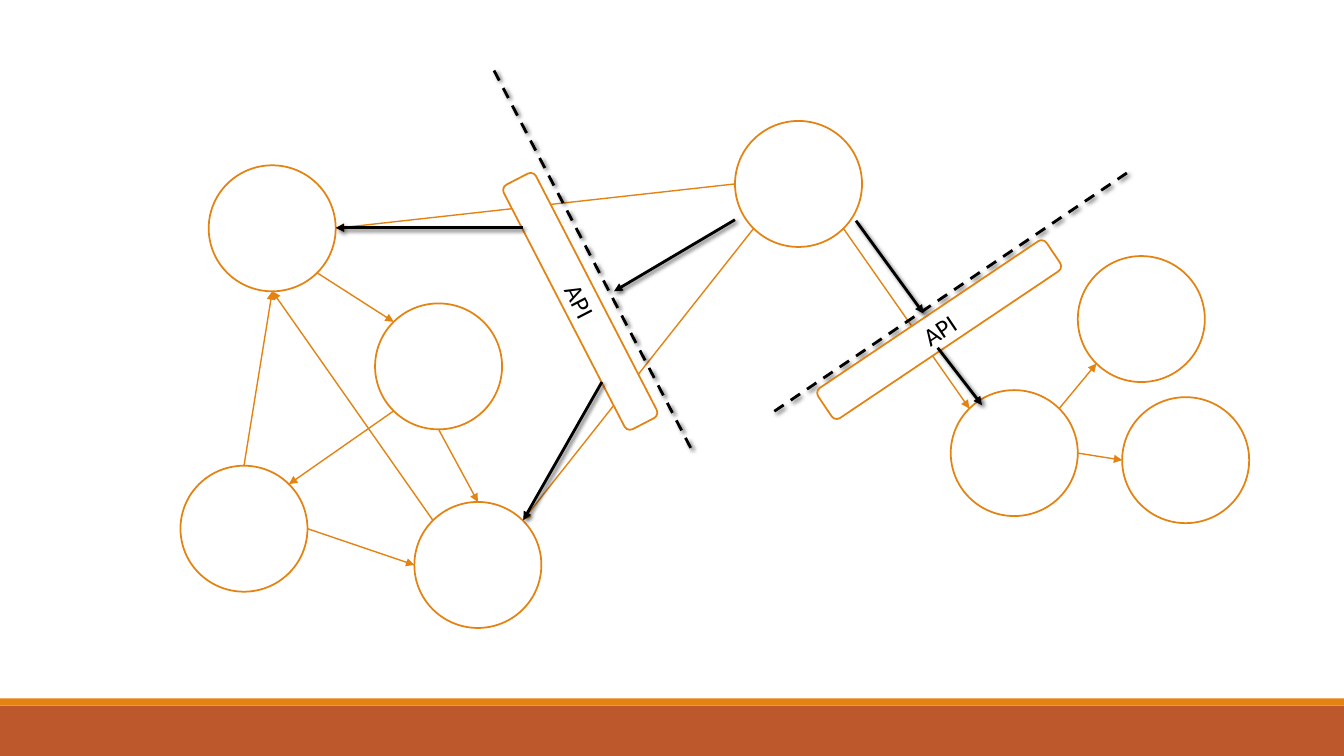
from math import cos, radians, sin

from lxml.etree import SubElement
from pptx import Presentation
from pptx.dml.color import RGBColor
from pptx.enum.dml import MSO_LINE
from pptx.enum.shapes import MSO_CONNECTOR, MSO_SHAPE
from pptx.enum.text import MSO_ANCHOR, PP_ALIGN
from pptx.oxml.ns import qn
from pptx.util import Pt

PIXEL = 9144  # 100 px to the inch
PAGE_WIDTH, PAGE_HEIGHT = 1333, 750
ORANGE, RUST, BLACK, WHITE = "E48312", "BD582C", "000000", "FFFFFF"
NODE_WIDTH, NODE_HEIGHT = 126, 125
API_SIZE = (273, 36)
ANGLES = {"E": 0, "SE": 45, "S": 90, "SW": 135, "W": 180, "NW": 225, "N": 270, "NE": 315}

NODES = {
    "upper left": (207, 164),
    "inner left": (372, 301),
    "lower left": (179, 462),
    "lower middle": (411, 498),
    "caller": (729, 120),
    "service": (943, 387),
    "upper right": (1069, 254),
    "far right": (1113, 394),
}
LINKS = [
    ("upper left", "SE", "inner left", "NW"),
    ("inner left", "SW", "lower left", "NE"),
    ("lower left", "N", "upper left", "S"),
    ("inner left", "S", "lower middle", "N"),
    ("lower middle", "NW", "upper left", "S"),
    ("lower left", "E", "lower middle", "W"),
    ("caller", "W", "upper left", "E"),
    ("caller", "SW", "lower middle", "NE"),
    ("caller", "SE", "service", "NW"),
    ("service", "NE", "upper right", "SW"),
    ("service", "E", "far right", "W"),
]
# boundary start, boundary end, API box corner, API box rotation
BOUNDARIES = [
    ((490, 70), (688, 450), (439, 281), 62.7),
    ((768, 408), (1123, 168), (795, 309), 326.1),
]
CALLS = [
    ((729, 218), (609, 289)),
    ((849, 219), (916, 311)),
    ((519, 226), (333, 226)),
    ((597, 379), (519, 516)),
    ((930, 345), (974, 402)),
]


def px(*lengths):
    return [round(length * PIXEL) for length in lengths]


def color(value):
    return RGBColor.from_string(value)


def apply_format(target, values):
    for name, value in values.items():
        setattr(target, name, value)


def add_shape(page, kind, corner, size, fill, outline=None):
    shape = page.shapes.add_shape(kind, *px(*corner, *size))
    shape.shadow.inherit = False
    shape.fill.solid()
    shape.fill.fore_color.rgb = color(fill)
    if outline:
        shape.line.color.rgb = color(outline)
        shape.line.width = Pt(1.25)
    else:
        shape.line.fill.background()
    return shape


def add_api_box(page, corner, rotation):
    box = add_shape(page, MSO_SHAPE.ROUNDED_RECTANGLE, corner, API_SIZE, WHITE, ORANGE)
    box.rotation = rotation
    box.text_frame.vertical_anchor = MSO_ANCHOR.MIDDLE
    para = box.text_frame.paragraphs[0]
    para.alignment = PP_ALIGN.CENTER
    span = para.add_run()
    apply_format(span, {"text": "API"})
    apply_format(span.font, {"size": Pt(18), "name": "Calibri"})
    span.font.color.rgb = color(BLACK)


def add_line(page, start, end, stroke, width, arrow=True, dash=None, shadow=False):
    line = page.shapes.add_connector(MSO_CONNECTOR.STRAIGHT, *px(*start, *end))
    line.line.color.rgb = color(stroke)
    apply_format(line.line, {"width": Pt(width), "dash_style": dash})
    properties = line._element.spPr
    if arrow:
        SubElement(properties.find(qn("a:ln")), qn("a:tailEnd"), type="triangle")
    effects = SubElement(properties, qn("a:effectLst"))
    if shadow:
        outer = SubElement(effects, qn("a:outerShdw"), blurRad=str(Pt(3)),
                           dist=str(Pt(2)), dir=str(45 * 60000))
        shade = SubElement(outer, qn("a:srgbClr"), val=BLACK)
        SubElement(shade, qn("a:alpha"), val="60000")


def rim_point(node, direction):
    """Point on a node's circle in a compass direction."""
    left, top = NODES[node]
    angle = radians(ANGLES[direction])
    return (left + NODE_WIDTH / 2 * (1 + cos(angle)),
            top + NODE_HEIGHT / 2 * (1 + sin(angle)))


def main():
    deck = Presentation()
    deck.slide_width, deck.slide_height = px(PAGE_WIDTH, PAGE_HEIGHT)
    page = deck.slides.add_slide(deck.slide_layouts[6])

    add_shape(page, MSO_SHAPE.RECTANGLE, (0, 700), (PAGE_WIDTH, 50), RUST)
    add_shape(page, MSO_SHAPE.RECTANGLE, (0, 693), (PAGE_WIDTH, 7), ORANGE)

    for corner in NODES.values():
        add_shape(page, MSO_SHAPE.OVAL, corner, (NODE_WIDTH, NODE_HEIGHT), WHITE, ORANGE)
    for source, source_side, target, target_side in LINKS:
        add_line(page, rim_point(source, source_side), rim_point(target, target_side),
                 ORANGE, 1)

    for start, end, corner, rotation in BOUNDARIES:
        add_line(page, start, end, BLACK, 2, arrow=False, dash=MSO_LINE.DASH, shadow=True)
        add_api_box(page, corner, rotation)
    for start, end in CALLS:
        add_line(page, start, end, BLACK, 2, shadow=True)

    deck.save("out.pptx")


if __name__ == "__main__":
    main()
